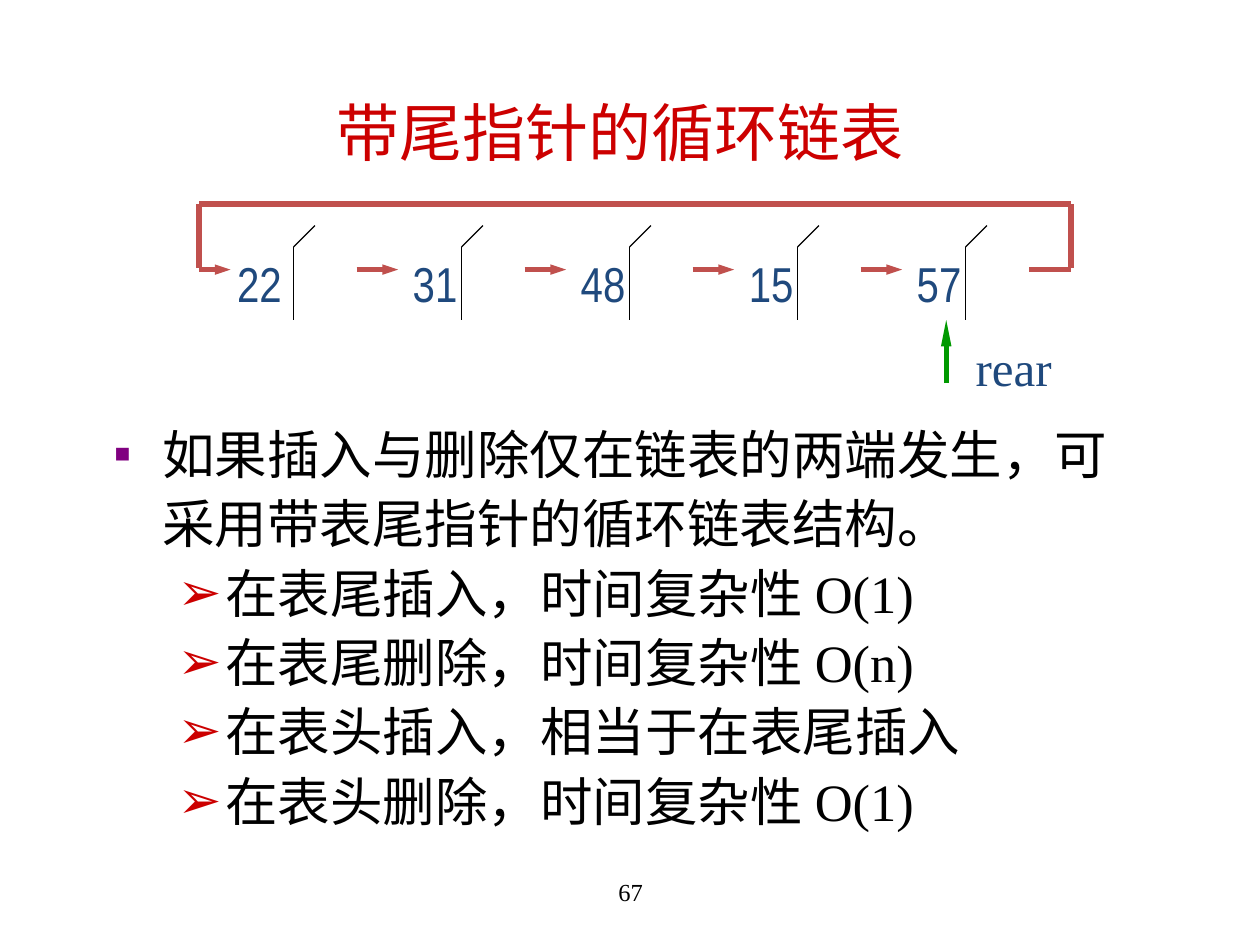
import pptx
import pptx.util
import pptx.dml.color
import pptx.enum.shapes
import pptx.enum.text
import pptx.oxml
import pptx.oxml.ns

Inches, Pt = pptx.util.Inches, pptx.util.Pt
RGB = pptx.dml.color.RGBColor
MID = pptx.enum.text.MSO_ANCHOR.MIDDLE
MARK = pptx.enum.text.PP_ALIGN.CENTER
COLORS = {"black": "000000", "title": "CC0000", "link": "C0504D",
          "label": "1F497D", "rear": "009900", "square": "800080"}
SERIF = "Times New Roman"


def sub(node, tag, **attrs):
    kid = pptx.oxml.parse_xml(f"<a:{tag} {pptx.oxml.ns.nsdecls('a')}/>")
    for key, val in attrs.items():
        kid.set(key, val)
    node.append(kid)
    return kid


def style(para, size, color, face=SERIF):
    para.font.size = Pt(size)
    para.font.name = face
    para.font.color.rgb = RGB.from_string(COLORS[color])


prs = pptx.Presentation()
prs.slide_width, prs.slide_height = Inches(10), Inches(7.5)
slide = prs.slides.add_slide(prs.slide_layouts[1])

title = slide.shapes.title
title.left, title.top = Inches(0.67), Inches(0.57)
title.width, title.height = Inches(8.5), Inches(0.95)
title.text_frame.text = "带尾指针的循环链表"
title.text_frame.vertical_anchor = MID
style(title.text_frame.paragraphs[0], 36, "title")

# Linked list: nodes are one step apart, each with a divider and a fold
STEP = 4 / 3
VALUES = ["22", "31", "48", "15", "57"]
LINK_Y, LOOP_Y, LEFT, RIGHT = 2.14, 1.62, 1.58, 8.5

# x1, y1, x2, y2, color, width, arrowhead length
lines = []
for i in range(len(VALUES)):
    x = 2.33 + i * STEP
    lines.append((x, 1.96, x, 2.54, "black", 0.75, None))
    lines.append((x, 1.96, x + 0.17, 1.79, "black", 0.75, None))
for i in range(len(VALUES) - 1):
    x = 2.83 + i * STEP
    lines.append((x, LINK_Y, x + 0.33, LINK_Y, "link", 3, "med"))
lines += [
    (LEFT, LINK_Y, 1.83, LINK_Y, "link", 3, "med"),
    (RIGHT, LOOP_Y, LEFT, LOOP_Y, "link", 3, None),
    (LEFT, LOOP_Y, LEFT, 2.13, "link", 3, None),
    (RIGHT, LOOP_Y, RIGHT, 2.13, "link", 3, None),
    (8.17, LINK_Y, RIGHT, LINK_Y, "link", 3, None),
    (7.51, 3.04, 7.51, 2.54, "rear", 3, "lg"),
]
for x1, y1, x2, y2, color, width, head in lines:
    line = slide.shapes.add_connector(
        pptx.enum.shapes.MSO_CONNECTOR.STRAIGHT,
        Inches(x1), Inches(y1), Inches(x2), Inches(y2))
    line.line.width = Pt(width)
    line.line.color.rgb = RGB.from_string(COLORS[color])
    if head:
        sub(line.line._get_or_add_ln(), "tailEnd",
            type="triangle", w="sm", len=head)
    sub(line._element.spPr, "effectLst")

# text, left, top, width, height, size, color, font
labels = [("67", 3.42, 6.83, 3.17, 0.5, 14, "black", SERIF),
          ("rear", 7.59, 2.63, 0.91, 0.57, 28, "label", SERIF)]
for i, val in enumerate(VALUES):
    x = 1.84 + i * STEP if i else 1.78
    labels.append((val, x, 1.96, 0.56, 0.57, 28, "label", "Arial Narrow"))
for text, x, y, w, h, size, color, face in labels:
    box = slide.shapes.add_textbox(Inches(x), Inches(y), Inches(w), Inches(h))
    frame = box.text_frame
    frame.text = text
    frame.word_wrap = text == "67"
    frame.vertical_anchor = MID
    frame.paragraphs[0].alignment = MARK
    style(frame.paragraphs[0], size, color, face)

body = slide.placeholders[1]
body.left, body.top = Inches(0.81), Inches(3.25)
body.width, body.height = Inches(8.48), Inches(3.4)
frame = body.text_frame
points = ["如果插入与删除仅在链表的两端发生，可采用带表尾指针的循环链表结构。",
          "在表尾插入，时间复杂性 O(1)",
          "在表尾删除，时间复杂性 O(n)",
          "在表头插入，相当于在表尾插入",
          "在表头删除，时间复杂性 O(1)"]
for i, text in enumerate(points):
    para = frame.add_paragraph() if i else frame.paragraphs[0]
    para.text = text
    para.level = 1 if i else 0
    props = para._p.get_or_add_pPr()
    props.set("marL", str(Inches(0.88 if i else 0.38)))
    props.set("indent", str(Inches(-0.38)))
    tint = sub(props, "buClr")
    sub(tint, "srgbClr", val=COLORS["title" if i else "square"])
    sub(props, "buSzPct", val="100000" if i else "50000")
    sub(props, "buChar", char="➢" if i else "■")
    para.line_spacing = 1.1
    para.space_before = Pt(0)
    style(para, 30, "black")

prs.save("out.pptx")
